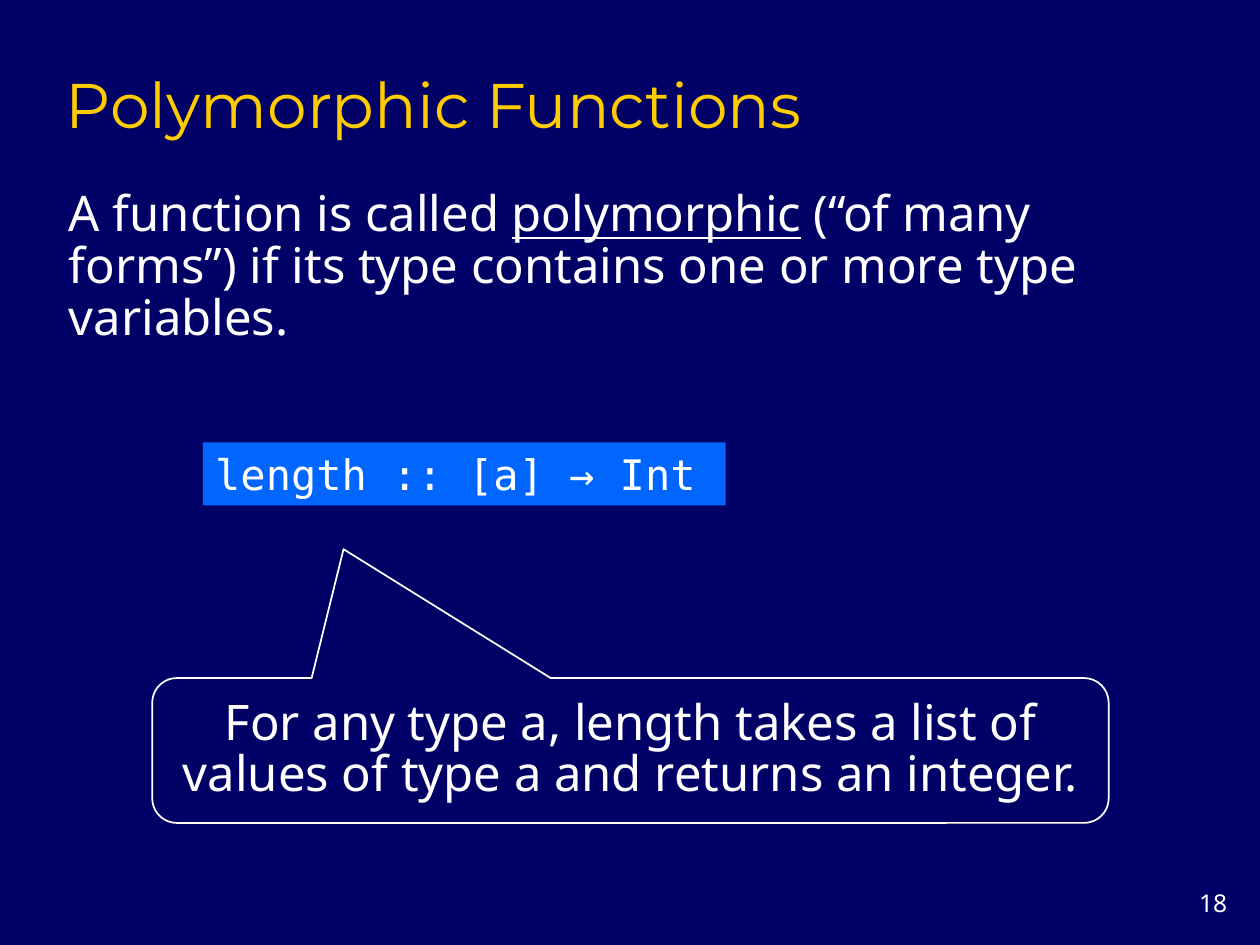
from pptx import Presentation
from pptx.dml.color import RGBColor
from pptx.enum.shapes import MSO_SHAPE
from pptx.enum.text import MSO_ANCHOR, PP_ALIGN
from pptx.util import Cm, Pt

NAVY = RGBColor(0x00, 0x00, 0x66)
BLUE = RGBColor(0x00, 0x66, 0xFF)
GOLD = RGBColor(0xFF, 0xCC, 0x00)
WHITE = RGBColor(0xFF, 0xFF, 0xFF)

HEADING_FONT = "Montserrat"
BODY_FONT = "Noto Sans"
CODE_FONT = "DejaVu Sans Mono"

LEFT, CENTER, RIGHT = PP_ALIGN.LEFT, PP_ALIGN.CENTER, PP_ALIGN.RIGHT
TOP, MIDDLE, BOTTOM = MSO_ANCHOR.TOP, MSO_ANCHOR.MIDDLE, MSO_ANCHOR.BOTTOM
RECTANGLE = MSO_SHAPE.RECTANGLE
CALLOUT = MSO_SHAPE.ROUNDED_RECTANGULAR_CALLOUT

TITLE_ONLY = 5
LINE_SPACING = 0.88


def write(shape, texts, size, font=BODY_FONT, color=WHITE, align=LEFT,
          anchor=MIDDLE, wrap=True, spacing=None):
    """Fill the shape with one paragraph, one run per text; return the runs."""
    frame = shape.text_frame
    frame.word_wrap = wrap
    frame.vertical_anchor = anchor
    para = frame.paragraphs[0]
    para.alignment = align
    para.line_spacing = spacing
    para.font.size = Pt(size)
    para.font.name = font
    para.font.color.rgb = color
    spans = []
    for text in texts:
        span = para.add_run()
        span.text = text
        spans.append(span)
    return spans


def add_title(page, text):
    title = page.shapes.title
    title.left, title.top = Cm(1.07), Cm(1.07)
    title.width, title.height = Cm(21.59), Cm(1.9)
    write(title, [text], 36, HEADING_FONT, GOLD, anchor=BOTTOM)


def add_definition(page):
    box = page.shapes.add_textbox(Cm(1.14), Cm(4.09), Cm(23.22), Cm(2.62))
    spans = write(box, ["A function is called ", "polymorphic",
                        " (“of many forms”) if its type contains one or more"
                        " type variables."], 28, spacing=LINE_SPACING)
    spans[1].font.underline = True


def add_code(page, text):
    box = page.shapes.add_shape(RECTANGLE, Cm(4.09), Cm(8.92), Cm(10.54), Cm(1.27))
    box.shadow.inherit = False
    box.fill.solid()
    box.fill.fore_color.rgb = BLUE
    box.line.fill.background()
    write(box, [text], 24, CODE_FONT)


def add_callout(page, text):
    box = page.shapes.add_shape(CALLOUT, Cm(3.07), Cm(13.67), Cm(19.28), Cm(2.92))
    box.shadow.inherit = False
    box.fill.background()
    box.line.color.rgb = WHITE
    box.line.width = Pt(1)
    for index, value in enumerate((-0.3, -1.39, 0.17)):
        box.adjustments[index] = value
    write(box, [text], 28, align=CENTER, spacing=LINE_SPACING)


def add_page_number(page, number):
    box = page.shapes.add_textbox(Cm(23.29), Cm(17.78), Cm(1.7), Cm(0.84))
    write(box, [number], 14, align=RIGHT, anchor=TOP)


def main():
    deck = Presentation()
    deck.slide_width, deck.slide_height = Cm(25.4), Cm(19.05)
    page = deck.slides.add_slide(deck.slide_layouts[TITLE_ONLY])
    page.background.fill.solid()
    page.background.fill.fore_color.rgb = NAVY

    add_title(page, "Polymorphic Functions")
    add_definition(page)
    add_code(page, "length :: [a] → Int")
    add_callout(page, "For any type a, length takes a list of values of type a"
                      " and returns an integer.")
    add_page_number(page, "18")
    deck.save("out.pptx")


if __name__ == "__main__":
    main()
